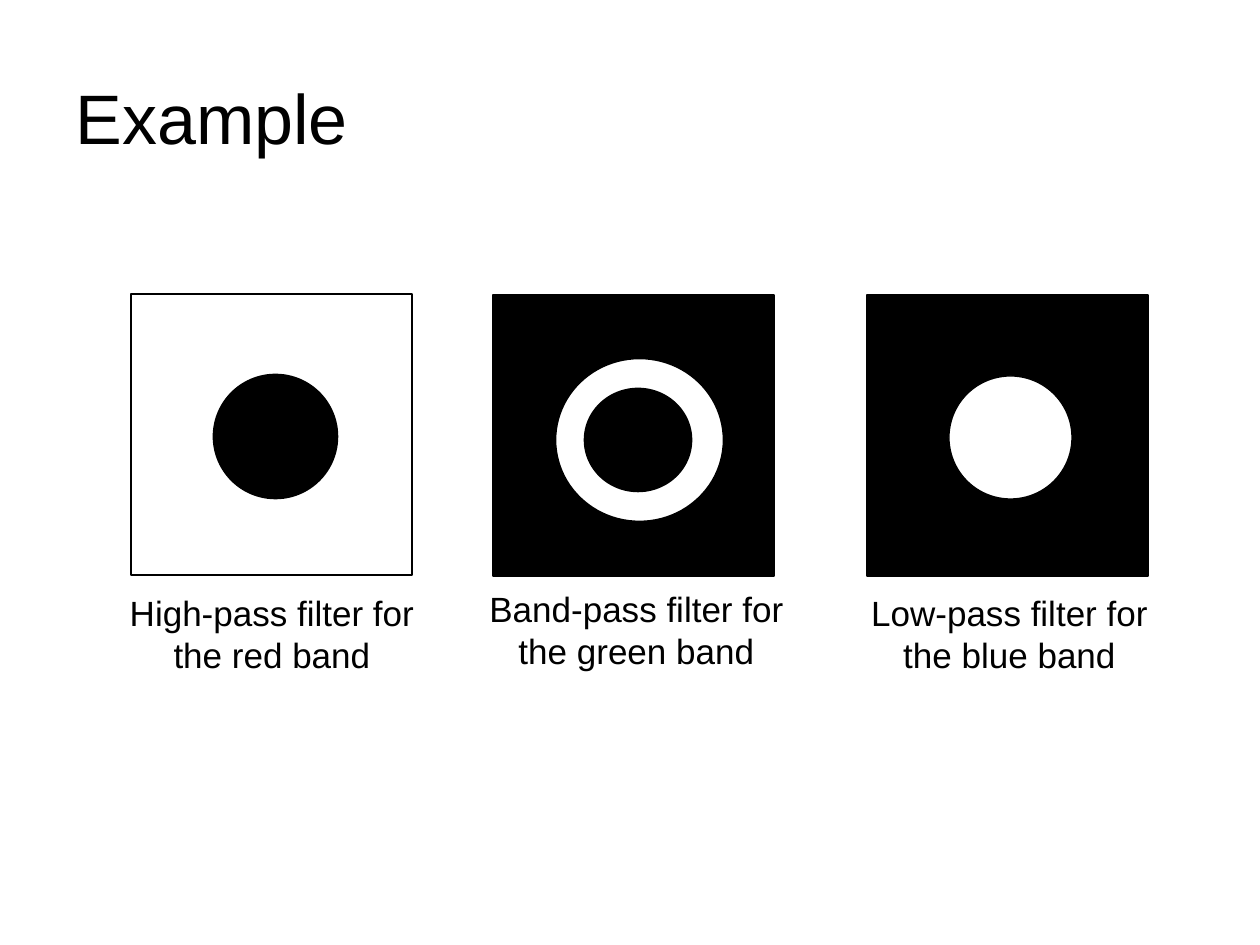
from dataclasses import dataclass

from pptx import Presentation
from pptx.dml.color import RGBColor
from pptx.enum.shapes import MSO_SHAPE
from pptx.enum.text import MSO_ANCHOR, PP_ALIGN
from pptx.util import Emu, Pt

RECTANGLE, OVAL = MSO_SHAPE.RECTANGLE, MSO_SHAPE.OVAL
LEFT, CENTER = PP_ALIGN.LEFT, PP_ALIGN.CENTER
MIDDLE = MSO_ANCHOR.MIDDLE
PX_PER_INCH = 126
TITLE_ONLY = 5


@dataclass(frozen=True)
class Theme:
    font: str = "Arial"
    block: RGBColor = RGBColor(0, 0, 0)
    passed: RGBColor = RGBColor(255, 255, 255)
    title_size: int = 40
    caption_size: int = 20


THEME = Theme()
SQUARE = 281

# Square position, line width, background, then discs and caption box
# (left, top, width, height) measured from the square's corner
FILTERS = [
    ((131, 294), 1.5, THEME.passed,
     [((83, 81, 123, 123), THEME.block)],
     "High-pass filter for the red band", (-21, 291, 324, 107)),
    ((493, 295), 1.5, THEME.block,
     [((62, 63, 169, 164), THEME.passed), ((92, 94, 106, 102), THEME.block)],
     "Band-pass filter for the green band", (-39, 286, 365, 107)),
    ((867, 295), 0.75, THEME.block,
     [((82, 81, 123, 123), THEME.passed)],
     "Low-pass filter for the blue band", (-24, 290, 333, 107)),
]


def px(length):
    return Emu(round(length * 914400 / PX_PER_INCH))


def emu_box(box, origin=(0, 0)):
    left, top, width, height = box
    return px(origin[0] + left), px(origin[1] + top), px(width), px(height)


def format_text(frame, text, size, align):
    frame.word_wrap = True
    frame.text = text
    paragraph = frame.paragraphs[0]
    paragraph.alignment = align
    paragraph.font.name = THEME.font
    paragraph.font.size = Pt(size)
    paragraph.font.color.rgb = THEME.block


def add_title(slide, box, text):
    title = slide.shapes.title
    title.left, title.top, title.width, title.height = emu_box(box)
    title.text_frame.vertical_anchor = MIDDLE
    format_text(title.text_frame, text, THEME.title_size, LEFT)


def add_region(shapes, kind, box, origin, fill, line_width):
    region = shapes.add_shape(kind, *emu_box(box, origin))
    region.shadow.inherit = False
    region.fill.solid()
    region.fill.fore_color.rgb = fill
    region.line.color.rgb = THEME.block
    region.line.width = Pt(line_width)


def add_filter(slide, origin, line_width, background, discs, text, caption_box):
    # Frequency mask: square with concentric discs
    mask = slide.shapes.add_group_shape().shapes
    add_region(mask, RECTANGLE, (0, 0, SQUARE, SQUARE), origin, background, line_width)
    for disc_box, fill in discs:
        add_region(mask, OVAL, disc_box, origin, fill, line_width)
    # Caption under the mask
    caption = slide.shapes.add_textbox(*emu_box(caption_box, origin))
    format_text(caption.text_frame, text, THEME.caption_size, CENTER)


def main():
    presentation = Presentation()
    presentation.slide_width, presentation.slide_height = px(1260), px(945)
    slide = presentation.slides.add_slide(presentation.slide_layouts[TITLE_ONLY])
    add_title(slide, (63, 38, 1134, 158), "Example")
    for filter_parts in FILTERS:
        add_filter(slide, *filter_parts)
    presentation.save("out.pptx")


if __name__ == "__main__":
    main()
